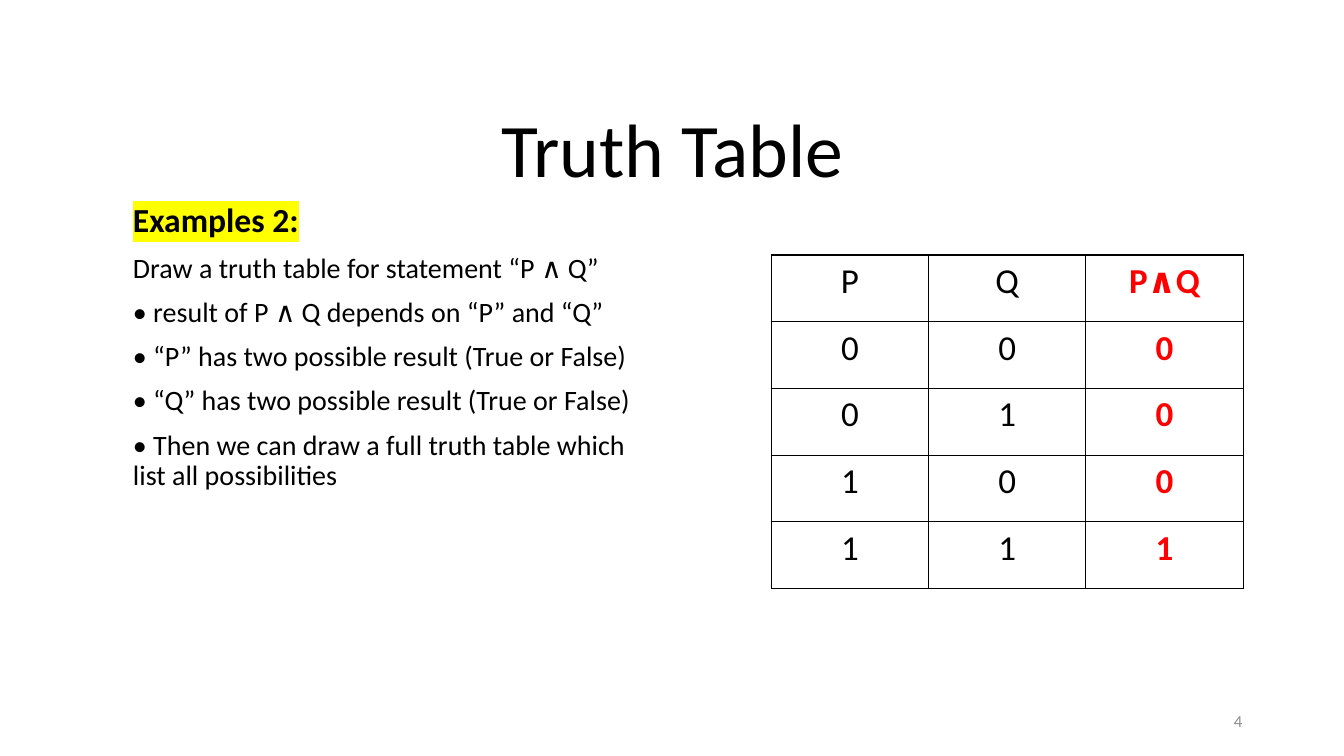
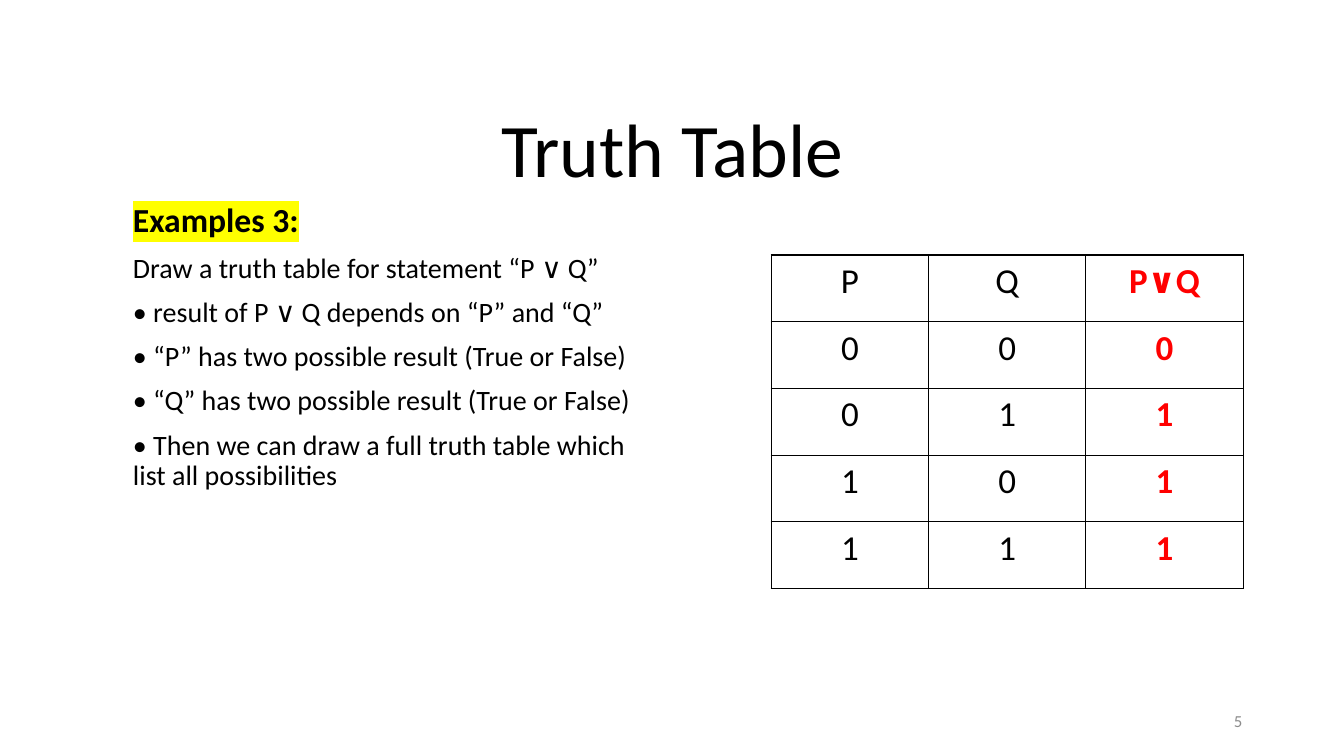
import pptx
import pptx.util
import pptx.dml.color
import pptx.enum.text
import pptx.oxml
import pptx.oxml.ns
from lxml import etree

Inches = pptx.util.Inches
Align = pptx.enum.text.PP_ALIGN
Anchor = pptx.enum.text.MSO_ANCHOR
FONT = "Calibri"
BLACK, RED, GREY, YELLOW = "000000", "FF0000", "8C8C8C", "FFFF00"
TITLE_BOX = (1.67, 1.23, 10, 0.74)
BODY_BOX = (1.22, 1.97, 5.18, 3.35)
TABLE_BOX = (7.65, 2.53, 4.68, 3.31)
NUMBER_BOX = (9.42, 6.95, 3, 0.4)
FIRST_NUMBER = 4
EXAMPLES = [
    ("Examples 2:", "∧", lambda p, q: p & q),
    ("Examples 3:", "∨", lambda p, q: p | q),
]


def rgb(color):
    return pptx.dml.color.RGBColor.from_string(color)


def add_child(parent, tag, **attrs):
    return etree.SubElement(parent, pptx.oxml.ns.qn(tag), attrs)


def add_run(p, text, size, color=BLACK, bold=False):
    r = p.add_run()
    r.text = text
    r.font.name = FONT
    r.font.size = pptx.util.Pt(size)
    r.font.bold = bold
    r.font.color.rgb = rgb(color)
    return r


def highlight(r, color):
    mark = pptx.oxml.parse_xml(
        f'<a:highlight {pptx.oxml.ns.nsdecls("a")}><a:srgbClr val="{color}"/></a:highlight>')
    r.font._element.find(pptx.oxml.ns.qn("a:solidFill")).addnext(mark)


def add_textbox(s, box):
    tf = s.shapes.add_textbox(*map(Inches, box)).text_frame
    tf.word_wrap = True
    return tf


def add_title(s, box, text):
    sp = s.shapes.title
    sp.left, sp.top, sp.width, sp.height = map(Inches, box)
    tf = sp.text_frame
    tf.auto_size = pptx.enum.text.MSO_AUTO_SIZE.NONE
    tf.vertical_anchor = Anchor.BOTTOM
    p = tf.paragraphs[0]
    p.alignment = Align.CENTER
    p.line_spacing = 0.9
    add_run(p, text, 54)


def add_explanation(s, box, heading, symbol):
    tf = add_textbox(s, box)
    lines = [
        heading,
        f"Draw a truth table for statement “P {symbol} Q”",
        f"• result of P {symbol} Q depends on “P” and “Q”",
        "• “P” has two possible result (True or False)",
        "• “Q” has two possible result (True or False)",
        "• Then we can draw a full truth table which list all possibilities",
    ]
    for i, line in enumerate(lines):
        p = tf.add_paragraph() if i else tf.paragraphs[0]
        p.line_spacing = 0.9
        p.space_before = pptx.util.Pt(10)
        if i:
            add_run(p, line, 20)
        else:
            highlight(add_run(p, line, 24, bold=True), YELLOW)


def add_borders(cell, color):
    tcPr = cell._tc.get_or_add_tcPr()
    for i, side in enumerate("LRTB"):
        ln = pptx.oxml.parse_xml(
            f'<a:ln{side} {pptx.oxml.ns.nsdecls("a")} w="{pptx.util.Pt(1)}"/>')
        add_child(add_child(ln, "a:solidFill"), "a:srgbClr", val=color)
        tcPr.insert(i, ln)


def add_truth_table(s, box, symbol, operation):
    rows = [("P", "Q", f"P{symbol}Q")]
    rows += [(p, q, operation(p, q)) for p in (0, 1) for q in (0, 1)]
    x, y, w, h = box
    table = s.shapes.add_table(len(rows), len(rows[0]), *map(Inches, box)).table
    table.first_row = table.horz_banding = False
    for column in table.columns:
        column.width = Inches(w / len(rows[0]))
    for row, values in zip(table.rows, rows):
        row.height = Inches(h / len(rows))
        for j, (cell, value) in enumerate(zip(row.cells, values)):
            is_result = j == len(values) - 1
            cell.fill.background()
            add_borders(cell, BLACK)
            p = cell.text_frame.paragraphs[0]
            p.alignment = Align.CENTER
            add_run(p, str(value), 25, RED if is_result else BLACK, is_result)


def add_number(s, box, number):
    tf = add_textbox(s, box)
    tf.vertical_anchor = Anchor.MIDDLE
    p = tf.paragraphs[0]
    p.alignment = Align.RIGHT
    add_run(p, str(number), 12, GREY)


def add_example_slide(prs, number, heading, symbol, operation):
    s = prs.slides.add_slide(prs.slide_layouts.get_by_name("Title Only"))
    add_title(s, TITLE_BOX, "Truth Table")
    add_explanation(s, BODY_BOX, heading, symbol)
    add_truth_table(s, TABLE_BOX, symbol, operation)
    add_number(s, NUMBER_BOX, number)


def main():
    prs = pptx.Presentation()
    prs.slide_width, prs.slide_height = Inches(13.33), Inches(7.5)
    for number, example in enumerate(EXAMPLES, FIRST_NUMBER):
        add_example_slide(prs, number, *example)
    prs.save("out.pptx")


if __name__ == "__main__":
    main()
